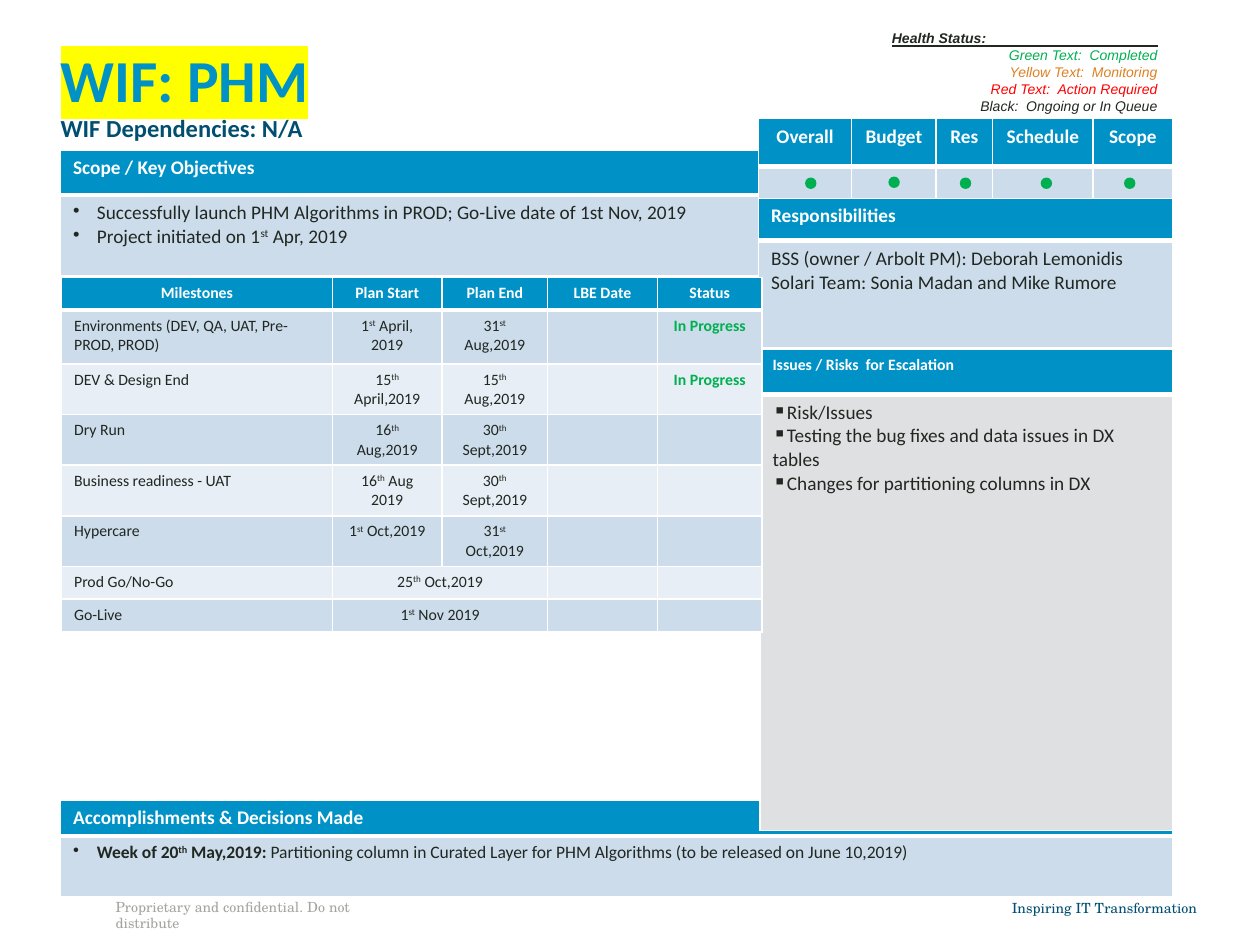
from dataclasses import dataclass, replace
from lxml import etree
from pptx import Presentation
from pptx.dml.color import RGBColor
from pptx.enum.shapes import MSO_CONNECTOR, MSO_SHAPE
from pptx.enum.text import MSO_ANCHOR, MSO_AUTO_SIZE, PP_ALIGN
from pptx.oxml.ns import qn
from pptx.util import Cm, Pt

LEFT, CENTER, RIGHT = PP_ALIGN.LEFT, PP_ALIGN.CENTER, PP_ALIGN.RIGHT
TOP, MIDDLE, BOTTOM = MSO_ANCHOR.TOP, MSO_ANCHOR.MIDDLE, MSO_ANCHOR.BOTTOM
BLUE, NAVY, INK, WHITE = "0092C7", "004E70", "212721", "FFFFFF"
PALE, PALER, GREY, GREEN = "CCDCEB", "E7EEF5", "DFE0E2", "00B050"
SERIF = "TeX Gyre Schola"


@dataclass(frozen=True)
class Style:
    size: float
    color: str = INK
    bold: bool = False
    italic: bool = False
    underline: bool = False
    font: str = "Calibri"


@dataclass
class Para:
    runs: list[tuple[str, Style]]
    align: PP_ALIGN = LEFT
    bullet: str = ""
    indent: float = 0
    hanging: bool = True


@dataclass
class Panel:
    """A heading row above one body cell."""
    x: float
    y: float
    w: float
    heights: list[float]
    heading: str
    heading_size: float
    body: list[Para]
    fill: str = PALE


def rgb(value: str) -> RGBColor:
    return RGBColor.from_string(value)


def para(text: str, style: Style, **kw) -> Para:
    return Para([(text, style)], **kw)


def add_run(p, text: str, style: Style):
    """Add text; the parts between ^ marks are superscript."""
    for i, part in enumerate(text.split("^")):
        r = p.add_run()
        r.text = part
        f = r.font
        f.name, f.size = style.font, Pt(style.size)
        f.bold, f.italic, f.underline = style.bold, style.italic, style.underline
        f.color.rgb = rgb(style.color)
        if i % 2:
            r._r.get_or_add_rPr().set("baseline", "30000")
    return r


def write(tf, paras: list[Para]) -> None:
    for i, item in enumerate(paras):
        p = tf.paragraphs[0] if i == 0 else tf.add_paragraph()
        p.alignment = item.align
        pPr = p._p.get_or_add_pPr()
        if item.bullet or item.indent:
            pPr.set("marL", str(Cm(item.indent)))
            pPr.set("indent", str(-Cm(item.indent) if item.hanging else 0))
        if item.bullet:
            etree.SubElement(pPr, qn("a:buChar"), char=item.bullet)
        for text, style in item.runs:
            add_run(p, text, style)


def text_box(s, x, y, w, h, paras: list[Para], anchor=TOP, inset=True) -> None:
    tf = s.shapes.add_textbox(Cm(x), Cm(y), Cm(w), Cm(h)).text_frame
    tf.word_wrap, tf.vertical_anchor = True, anchor
    if not inset:
        tf.margin_left = tf.margin_right = tf.margin_top = tf.margin_bottom = 0
    write(tf, paras)


def border(cell, row: int) -> None:
    """White rules, thicker between the heading and the first body row."""
    widths = {"lnL": 1, "lnR": 1, "lnT": 3 if row == 1 else 1, "lnB": 3 if row == 0 else 1}
    tcPr = cell._tc.get_or_add_tcPr()
    for i, (tag, width) in enumerate(widths.items()):
        ln = etree.Element(qn(f"a:{tag}"), w=str(Pt(width)))
        fill = etree.SubElement(ln, qn("a:solidFill"))
        etree.SubElement(fill, qn("a:srgbClr"), val=WHITE)
        tcPr.insert(i, ln)


def add_grid(s, x, y, cols: list[float], heights: list[float], rows, fills: list[str],
             empty_size: int = 9):
    tbl = s.shapes.add_table(len(heights), len(cols), Cm(x), Cm(y),
                             Cm(sum(cols)), Cm(sum(heights))).table
    for col, w in zip(tbl.columns, cols):
        col.width = Cm(w)
    for i, (h, row) in enumerate(zip(heights, rows)):
        tbl.rows[i].height = Cm(h)
        for j, paras in enumerate(row):
            cell = tbl.cell(i, j)
            cell.fill.solid()
            cell.fill.fore_color.rgb = rgb(fills[i])
            border(cell, i)
            if paras:
                write(cell.text_frame, paras)
            else:
                p = cell.text_frame.paragraphs[0]
                etree.SubElement(p._p, qn("a:endParaRPr"), sz=str(empty_size * 100))
    return tbl


def add_panel(s, panel: Panel) -> None:
    heading = para(panel.heading, Style(panel.heading_size, WHITE, True))
    add_grid(s, panel.x, panel.y, [panel.w], panel.heights,
             [[[heading]], [panel.body]], [BLUE, panel.fill])


def add_title(s) -> None:
    title = s.shapes.title
    title.left, title.top, title.width, title.height = Cm(1.22), Cm(0.89), Cm(22.58), Cm(1.98)
    tf = title.text_frame
    tf.auto_size, tf.word_wrap, tf.vertical_anchor = MSO_AUTO_SIZE.NONE, True, BOTTOM
    tf.margin_left = tf.margin_right = tf.margin_top = tf.margin_bottom = 0
    write(tf, [para("WIF: PHM", Style(34, BLUE, True)),
               para("WIF Dependencies: N/A", Style(14, NAVY, True))])
    for p in tf.paragraphs:
        p.line_spacing, p.space_before = 0.9, Pt(0)
    highlight = etree.Element(qn("a:highlight"))
    etree.SubElement(highlight, qn("a:srgbClr"), val="FFFF00")
    rPr = tf.paragraphs[0].runs[0]._r.get_or_add_rPr()
    rPr.find(qn("a:solidFill")).addnext(highlight)


def add_legend(s) -> None:
    base = Style(8, italic=True, font="Arial")
    entries = [("Green Text:  Completed", GREEN), ("Yellow Text:  Monitoring", "DE8022"),
               ("Red Text:  Action Required", "FF0000"), ("Black:  Ongoing or In Queue", INK)]
    heading = para("Health Status:", replace(base, bold=True, underline=True),
                   indent=3, hanging=False)
    text_box(s, 14.73, 0.48, 8.86, 1.96,
             [heading] + [para(t, replace(base, color=c), align=RIGHT) for t, c in entries])
    line = s.shapes.add_connector(MSO_CONNECTOR.STRAIGHT, Cm(17.98), Cm(0.93), Cm(23.34), Cm(0.93))
    line.line.color.rgb, line.line.width = rgb(INK), Pt(0.75)
    etree.SubElement(line._element.spPr, qn("a:effectLst"))


def add_milestones(s) -> None:
    head, body = Style(9, WHITE, True), Style(9)
    done = Style(9, GREEN, True)
    names = ["Milestones", "Plan Start", "Plan End", "LBE Date", "Status"]
    data = [("Environments (DEV, QA, UAT, Pre-PROD, PROD)", "1^st^ April, 2019", "31^st^ Aug,2019", "In Progress"),
            ("DEV & Design End", "15^th^ April,2019", "15^th^ Aug,2019", "In Progress"),
            ("Dry Run", "16^th^ Aug,2019", "30^th^ Sept,2019", ""),
            ("Business readiness - UAT", "16^th^ Aug 2019", "30^th^ Sept,2019", ""),
            ("Hypercare", "1^st^ Oct,2019", "31^st^ Oct,2019", ""),
            ("Prod Go/No-Go", "25^th^ Oct,2019", "", ""),
            ("Go-Live", "1^st^ Nov 2019", "", "")]

    def centred(text: str, style: Style) -> list[Para]:
        return [para(text, style, align=CENTER)] if text else []

    rows = [[centred(n, head) for n in names]]
    rows += [[[para(name, body)], centred(start, body), centred(end, body), [], centred(status, done)]
             for name, start, end, status in data]
    fills = [BLUE] + [PALER if i % 2 else PALE for i in range(len(data))]
    tbl = add_grid(s, 1.24, 5.59, [5.46, 2.21, 2.13, 2.21, 2.11],
                   [0.66, 1.09] + [0.66] * 6, rows, fills)
    for i, row in enumerate(data, 1):
        if not row[2]:  # a single date spans start and end
            tbl.cell(i, 1).merge(tbl.cell(i, 2))


def add_health(s) -> None:
    names = ["Overall", "Budget", "Res", "Schedule", "Scope"]
    heads = [[para(n, Style(11, WHITE, True), align=CENTER)] for n in names]
    add_grid(s, 15.29, 2.39, [1.88, 1.7, 1.14, 2.03, 1.6], [0.97, 0.64],
             [heads, [[]] * len(names)], [BLUE, PALE], empty_size=8)
    for x, y in [(16.23, 3.58), (17.91, 3.56), (19.35, 3.58), (20.98, 3.58), (22.66, 3.58)]:
        dot = s.shapes.add_shape(MSO_SHAPE.OVAL, Cm(x), Cm(y), Cm(0.23), Cm(0.23))
        dot.shadow.inherit = False
        dot.fill.solid()
        dot.fill.fore_color.rgb = rgb(GREEN)
        dot.line.fill.background()


def main() -> None:
    prs = Presentation()
    prs.slide_width, prs.slide_height = Cm(25.4), Cm(19.05)
    s = prs.slides.add_slide(prs.slide_layouts[5])
    # Footer and heading
    text_box(s, 2.08, 17.98, 6.38, 0.61,
             [para("Proprietary and confidential. Do not distribute", Style(8, "A5A59E", font=SERIF))])
    text_box(s, 19.69, 17.98, 4.45, 0.64,
             [para("Inspiring IT Transformation", Style(8, NAVY, font=SERIF), align=RIGHT)], MIDDLE, False)
    add_title(s)
    add_legend(s)
    # Panels and tables
    body = Style(11)
    dot = {"bullet": "•", "indent": 0.48}
    scope = [para(t, body, **dot) for t in (
        "Successfully launch PHM Algorithms in PROD; Go-Live date of 1st Nov, 2019",
        "Project initiated on 1^st^ Apr, 2019")]
    week = Para([("Week of 20^th^ May,2019: ", Style(10, bold=True)),
                 ("Partitioning column in Curated Layer for PHM Algorithms (to be released on June 10,2019)",
                  Style(10))], **dot)
    people = [para(t, body) for t in ("BSS (owner / Arbolt PM): Deborah Lemonidis",
                                      "Solari Team: Sonia Madan and Mike Rumore")]
    risks = [para(t, body, bullet="▪") for t in (
        "Risk/Issues", "Testing the bug fixes and data issues in DX tables",
        "Changes for partitioning columns in DX")]
    for panel in (
            Panel(1.22, 3.02, 14.1, [0.91, 1.63], "Scope / Key Objectives", 11, scope),
            Panel(1.22, 16.13, 22.43, [0.71, 1.22], "Accomplishments & Decisions Made", 11, [week]),
            Panel(15.29, 3.99, 8.36, [0.86, 2.16], "Responsibilities", 11, people),
            Panel(15.32, 7.04, 8.33, [0.91, 8.79], "Issues / Risks  for Escalation", 9, risks, GREY)):
        add_panel(s, panel)
    add_milestones(s)
    add_health(s)
    prs.save("out.pptx")


if __name__ == "__main__":
    main()
